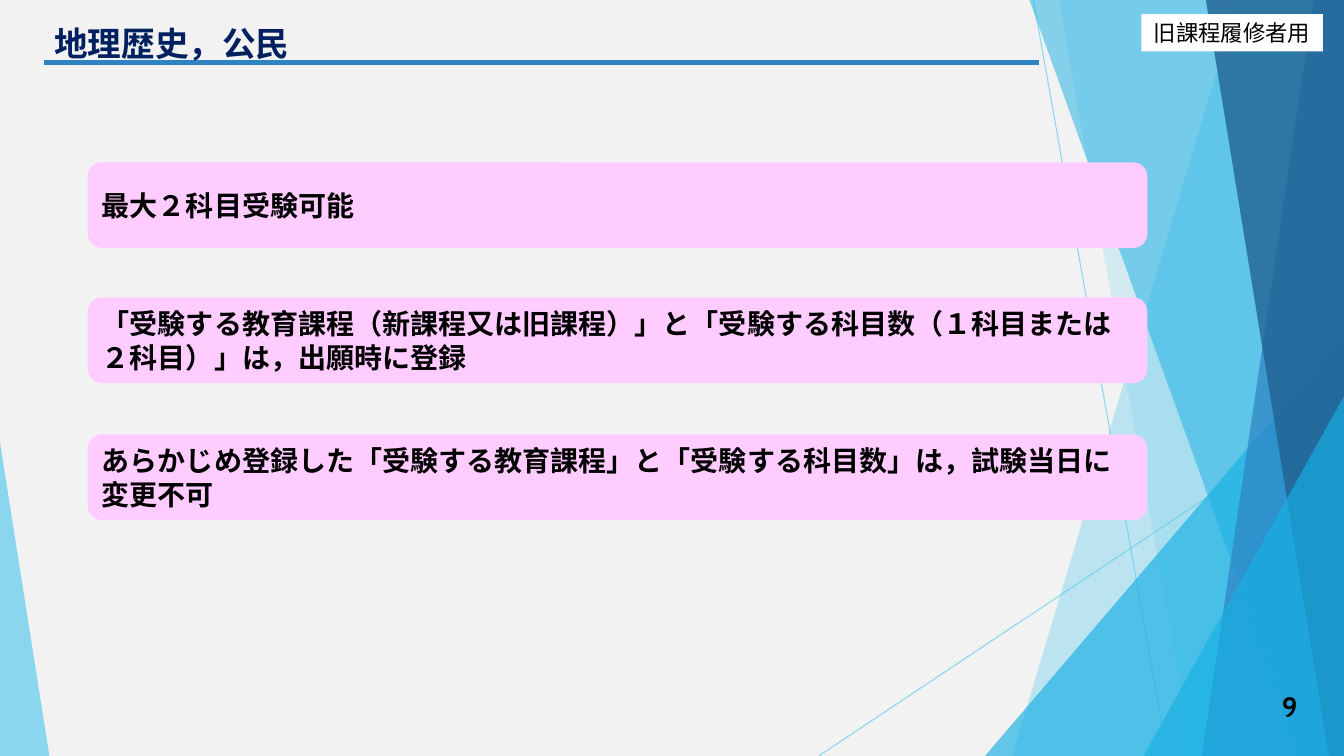
"""Builds the slide on geography, history and civics for old-curriculum candidates."""
from dataclasses import dataclass

from lxml import etree
from pptx import Presentation
from pptx.dml.color import RGBColor
from pptx.enum.shapes import MSO_CONNECTOR, MSO_SHAPE
from pptx.enum.text import MSO_ANCHOR, PP_ALIGN
from pptx.oxml.ns import qn
from pptx.util import Pt

PX = 9144
WIDTH, HEIGHT = 1333, 750
STRAIGHT = MSO_CONNECTOR.STRAIGHT
RECT, ROUND, TRIANGLE = MSO_SHAPE.RECTANGLE, MSO_SHAPE.ROUNDED_RECTANGLE, MSO_SHAPE.ISOSCELES_TRIANGLE
TOP, MIDDLE = MSO_ANCHOR.TOP, MSO_ANCHOR.MIDDLE
LEFT, CENTER, RIGHT = PP_ALIGN.LEFT, PP_ALIGN.CENTER, PP_ALIGN.RIGHT


@dataclass(frozen=True)
class Theme:
    font: str = "Cabin"
    background: str = "F2F2F2"
    sky: str = "5FCBEF"
    cyan: str = "17B0E4"
    blue: str = "2E83C3"
    navy: str = "226292"
    title: str = "002060"
    card: str = "FFCCFF"
    white: str = "FFFFFF"
    black: str = "000000"
    title_size: int = 24
    body_size: int = 20
    label_size: int = 16


THEME = Theme()

BANDS = [
    ((1228, 1333, 1333, 1004), THEME.sky, 36),
    ((1050, 1333, 1333, 1183), THEME.sky, 20),
    ((1021, 1333, 1333, 1291), THEME.cyan, 50),
    ((1303, 1333, 1333, 1192), THEME.blue, 70),
    ((1196, 1333, 1333, 1318), THEME.navy, 80),
]
CARDS = [
    (161, "最大２科目受験可能"),
    (295, "「受験する教育課程（新課程又は旧課程）」と「受験する科目数（１科目または２科目）」は，出願時に登録"),
    (431, "あらかじめ登録した「受験する教育課程」と「受験する科目数」は，試験当日に変更不可"),
]


def emu(*lengths):
    return [n * PX for n in lengths]


def set_opacity(sp, percent):
    for color in sp._element.spPr.iter(qn("a:srgbClr")):
        etree.SubElement(color, qn("a:alpha")).set("val", str(percent * 1000))


def paint(sp, color, opacity=100):
    sp.shadow.inherit = False
    sp.fill.solid()
    sp.fill.fore_color.rgb = RGBColor.from_string(color)
    sp.line.fill.background()
    if opacity < 100:
        set_opacity(sp, opacity)


def add_line(s, start, end, color, width, opacity=100):
    sp = s.shapes.add_connector(STRAIGHT, *emu(*start, *end))
    sp.line.color.rgb = RGBColor.from_string(color)
    sp.line.width = Pt(width)
    etree.SubElement(sp._element.spPr, qn("a:effectLst"))
    if opacity < 100:
        set_opacity(sp, opacity)


def add_band(s, xs, color, opacity):
    start, *rest = zip(xs, (0, 0, HEIGHT, HEIGHT))
    builder = s.shapes.build_freeform(*start, scale=PX)
    builder.add_line_segments(rest, close=True)
    paint(builder.convert_to_shape(), color, opacity)


def add_triangle(s, box, apex, color, opacity):
    sp = s.shapes.add_shape(TRIANGLE, *emu(*box))
    sp.adjustments[0] = apex
    paint(sp, color, opacity)


def write(sp, text, size, color=THEME.black, bold=True, align=LEFT, anchor=MIDDLE):
    tf = sp.text_frame
    tf.word_wrap = True
    tf.vertical_anchor = anchor
    p = tf.paragraphs[0]
    p.text = text
    p.alignment = align
    p.font.name = THEME.font
    p.font.size = Pt(size)
    p.font.bold = bold
    p.font.color.rgb = RGBColor.from_string(color)
    latin = p._p.pPr.find(".//" + qn("a:latin"))
    east_asian = etree.Element(qn("a:ea"), typeface=THEME.font)
    latin.addnext(east_asian)


def add_text(s, box, text, size, **style):
    write(s.shapes.add_textbox(*emu(*box)), text, size, **style)


def add_panel(s, kind, box, fill, text, size, **style):
    sp = s.shapes.add_shape(kind, *emu(*box))
    paint(sp, fill)
    write(sp, text, size, **style)


def add_backdrop(s):
    s.background.fill.solid()
    s.background.fill.fore_color.rgb = RGBColor.from_string(THEME.background)
    add_line(s, (1025, 0), (1158, HEIGHT), THEME.sky, 0.75, 70)
    add_line(s, (WIDTH, 403), (812, HEIGHT), THEME.sky, 0.75, 70)
    for band in BANDS[:2]:
        add_band(s, *band)
    add_triangle(s, (977, 333, 356, 417), 1, THEME.cyan, 66)
    for band in BANDS[2:]:
        add_band(s, *band)
    add_triangle(s, (1134, 393, 199, 357), 1, THEME.cyan, 66)
    add_triangle(s, (0, 439, 49, 311), 0, THEME.sky, 70)


def main():
    prs = Presentation()
    prs.slide_width, prs.slide_height = emu(WIDTH, HEIGHT)
    s = prs.slides.add_slide(prs.slide_layouts[6])
    add_backdrop(s)
    add_line(s, (44, 62), (1030, 62), THEME.blue, 3)
    add_panel(s, RECT, (1132, 14, 180, 37), THEME.white, "旧課程履修者用",
              THEME.label_size, bold=False, align=CENTER)
    add_text(s, (1222, 681, 75, 40), "9", THEME.body_size, align=RIGHT)
    add_text(s, (44, 18, 940, 62), "地理歴史，公民", THEME.title_size,
             color=THEME.title, anchor=TOP)
    for top, text in CARDS:
        add_panel(s, ROUND, (87, top, 1051, 85), THEME.card, text, THEME.body_size)
    prs.save("out.pptx")


if __name__ == "__main__":
    main()
